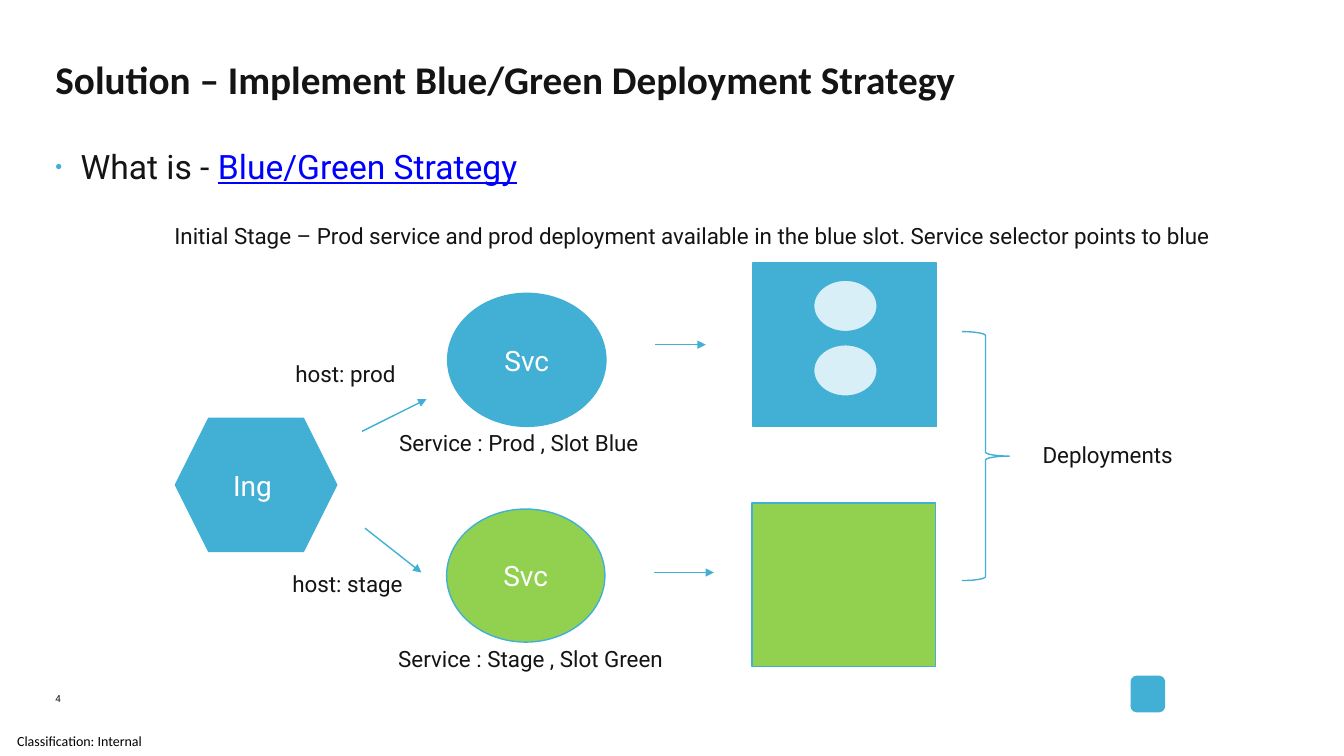
from lxml.etree import SubElement as Sub
from pptx import Presentation
from pptx.dml.color import RGBColor
from pptx.enum.shapes import MSO_CONNECTOR as Link, MSO_SHAPE as Kind
from pptx.enum.text import MSO_ANCHOR as Anchor, MSO_AUTO_SIZE as Auto, PP_ALIGN as Align
from pptx.oxml.ns import qn
from pptx.util import Inches, Pt

HUES = {"blue": "42B0D5", "green": "92D050", "pale": "D9EFF7", "ink": "141414",
        "link": "0000FF", "white": "FFFFFF", "black": "000000"}


def hue(name):
    """Return the named colour."""
    return RGBColor.from_string(HUES[name])


def place(shape, x, y, w, h):
    """Move and size a shape."""
    shape.left, shape.top, shape.width, shape.height = map(Inches, (x, y, w, h))


def style(font, size, name="Roboto", color="ink", bold=None):
    """Format a font."""
    font.size, font.name, font.bold = Pt(size), name, bold
    font.color.rgb = hue(color)


def inset(frame, pad):
    """Set equal margins and keep the frame at its size."""
    frame.auto_size = Auto.NONE
    frame.margin_left = frame.margin_right = Inches(pad)
    frame.margin_top = frame.margin_bottom = Inches(pad)


def label(slide, text, x, y, w, h=0.81, size=16, pad=0.26, wrap=False):
    """Add a text box and return it."""
    box = slide.shapes.add_textbox(*map(Inches, (x, y, w, h)))
    frame = box.text_frame
    inset(frame, pad)
    frame.word_wrap = wrap
    frame.text = text
    style(frame.paragraphs[0].font, size)
    return box


def block(slide, kind, fill, x, y, w, h, text=""):
    """Add an outlined preset shape, filled and captioned on request."""
    shape = slide.shapes.add_shape(kind, *map(Inches, (x, y, w, h)))
    shape.shadow.inherit = False
    shape.line.color.rgb, shape.line.width = hue("blue"), Pt(1)
    if fill:
        shape.fill.solid()
        shape.fill.fore_color.rgb = hue(fill)
    else:
        shape.fill.background()
    if text:
        frame = shape.text_frame
        inset(frame, 0.26)
        frame.vertical_anchor = Anchor.MIDDLE
        frame.text = text
        para = frame.paragraphs[0]
        para.alignment = Align.CENTER
        style(para.font, 20, color="white")
    return shape


def arrow(slide, x1, y1, x2, y2):
    """Draw an arrow between two points."""
    line = slide.shapes.add_connector(Link.STRAIGHT, *map(Inches, (x1, y1, x2, y2)))
    line.line.color.rgb, line.line.width = hue("blue"), Pt(1)
    Sub(line.line._get_or_add_ln(), qn("a:tailEnd"), type="triangle")
    Sub(line._element.spPr, qn("a:effectLst"))


def head(slide, x, y, w):
    """Fill the title and the bulleted body."""
    title, body = slide.shapes.title, slide.placeholders[1]
    place(title, x, y, w, 1.02)
    place(body, x, y + 0.9, w, 4.73)
    for shape in (title, body):
        inset(shape.text_frame, 0)
        shape.text_frame.vertical_anchor = Anchor.TOP
    title.text_frame.text = "Solution – Implement Blue/Green Deployment Strategy"
    para = title.text_frame.paragraphs[0]
    para.alignment = Align.LEFT
    style(para.font, 28, "Calibri", bold=True)

    para = body.text_frame.paragraphs[0]
    para.space_before, para.space_after = Pt(0), Pt(6)
    props = para._p.get_or_add_pPr()
    props.set("marL", str(Inches(0.2)))
    props.set("indent", str(Inches(-0.2)))
    Sub(Sub(props, qn("a:buClr")), qn("a:srgbClr"), val=HUES["blue"])
    Sub(props, qn("a:buChar"), char="•")
    for text, size, color in ((" ", 14, "ink"), ("What is - ", 24, "ink"),
                              ("Blue/Green Strategy", 24, "link")):
        run = para.add_run()
        run.text = text
        style(run.font, size, color=color)
    run.font.underline = True


def lane(slide, x, y, fill, name, slot, reach):
    """Draw a service, its arrow and its deployment slot."""
    block(slide, Kind.OVAL, fill, x + 0.74, y, 1.57, 1.32, "Svc")
    label(slide, name, x, y + 1.09, 3.3)
    block(slide, Kind.RECTANGLE, fill, x + 3.77, slot, 1.82, 1.62)
    mid = slot + (0.81 if fill == "blue" else 0.69)
    arrow(slide, x + 2.8, mid, x + 2.8 + reach, mid)


def graph(slide, x, y):
    """Draw the ingress, both lanes and the deployments brace."""
    block(slide, Kind.HEXAGON, "blue", x, y + 1.54, 1.6, 1.32, "Ing ")
    arrow(slide, x + 1.85, y + 1.67, x + 2.49, y + 1.35)
    arrow(slide, x + 1.88, y + 2.63, x + 2.44, y + 3.07)
    lane(slide, x + 1.96, y + 0.3, "blue", "Service : Prod , Slot Blue", y, 0.5)
    lane(slide, x + 1.95, y + 2.44, "green", "Service : Stage , Slot Green", y + 2.38, 0.59)
    for row in range(2):
        block(slide, Kind.OVAL, "pale", x + 6.33, y + 0.17 + row * 0.64, 0.63, 0.51)
    block(slide, Kind.RIGHT_BRACE, None, x + 7.8, y + 0.68, 0.47, 2.47)
    label(slide, "Deployments", x + 8.34, y + 1.51, 1.92)
    label(slide, "host: prod", x + 0.93, y + 0.7, 1.6)
    label(slide, "host: stage", x + 0.9, y + 2.79, 1.68)
    label(slide, "Initial Stage – Prod service and prod deployment available in the blue slot. "
          "Service selector points to blue", x - 0.27, y - 0.67, 11.86, wrap=True)


def foot(slide, x, y):
    """Add the page number, the class mark and the brand tile."""
    label(slide, "4", x, y, 0.45, 0.2, 7, 0)
    mark = label(slide, "Classification: Internal", 0.17, y + 0.34, 1.4, 0.29, 10, 0)
    mark.text_frame.vertical_anchor = Anchor.MIDDLE
    style(mark.text_frame.paragraphs[0].font, 10, "Calibri", "black")
    block(slide, Kind.ROUNDED_RECTANGLE, "blue", x + 10.67, y - 0.16, 0.33, 0.35)


def main():
    """Build and save the slide."""
    deck = Presentation()
    deck.slide_width, deck.slide_height = Inches(13.33), Inches(7.5)
    slide = deck.slides.add_slide(deck.slide_layouts[1])
    head(slide, 0.55, 0.55, 12.24)
    graph(slide, 1.74, 2.61)
    foot(slide, 0.55, 6.87)
    deck.save("out.pptx")


if __name__ == "__main__":
    main()
